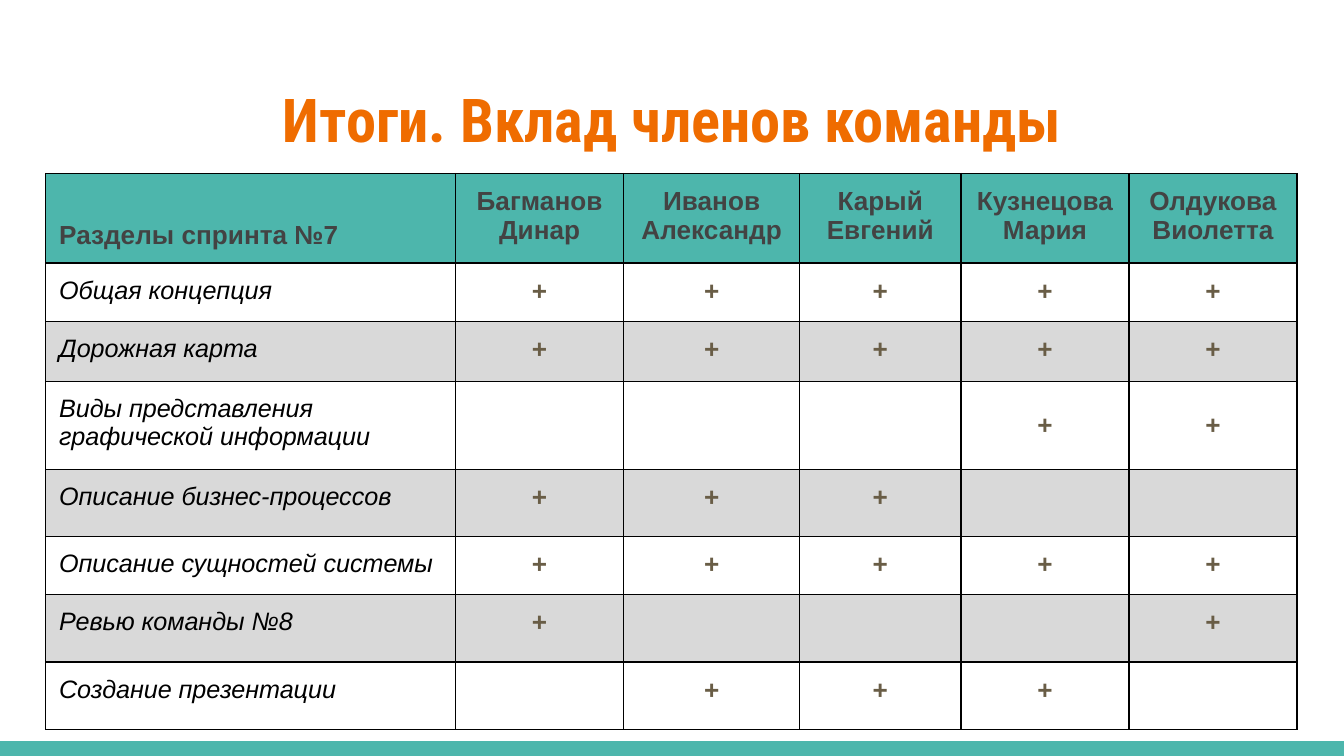
import pptx
import pptx.util
import pptx.dml.color
import pptx.enum.shapes
import pptx.enum.text
import pptx.oxml
import pptx.oxml.ns

Inches, Pt = pptx.util.Inches, pptx.util.Pt
ALIGN, ANCHOR = pptx.enum.text.PP_ALIGN, pptx.enum.text.MSO_ANCHOR

TEAL, GREY, WHITE, BLACK = "4DB6AC", "D9D9D9", "FFFFFF", "000000"
ORANGE, HEADER_TEXT, MARK_TEXT = "EF6C00", "434343", "695D46"

SLIDE_WIDTH = 10
SLIDE_HEIGHT = SLIDE_WIDTH * 9 / 16
FOOTER_HEIGHT = 0.11

TITLE = "Итоги. Вклад членов команды"
HEADERS = ["Разделы спринта №7", "Багманов Динар", "Иванов Александр",
           "Карый Евгений", "Кузнецова Мария", "Олдукова Виолетта"]
COLUMN_WIDTHS = [3.05, 1.25, 1.31, 1.2, 1.25, 1.25]
TABLE_SIZE = 3.28
HEADER_HEIGHT = 0.42
# section, least row height (rows grow with their text),
# members who took part (column numbers), anchor of the marks
SECTIONS = [
    ("Общая концепция", 0.42, (1, 2, 3, 4, 5), ANCHOR.TOP),
    ("Дорожная карта", 0.45, (1, 2, 3, 4, 5), ANCHOR.TOP),
    ("Виды представления графической информации", 0.42, (4, 5), ANCHOR.MIDDLE),
    ("Описание бизнес-процессов", 0.42, (1, 2, 3), ANCHOR.TOP),
    ("Описание сущностей системы", 0.42, (1, 2, 3, 4, 5), ANCHOR.TOP),
    ("Ревью команды №8", 0.11, (1, 5), ANCHOR.TOP),
    ("Создание презентации", 0.42, (2, 3, 4), ANCHOR.TOP),
]


def color(value):
    return pptx.dml.color.RGBColor.from_string(value)


def paint(target, value):
    target.fill.solid()
    target.fill.fore_color.rgb = color(value)


def write(frame, text, size, ink, align, name="Arial", bold=False, italic=False):
    para = frame.paragraphs[0]
    para.text = text
    para.alignment = align
    font = para.font
    font.name, font.size, font.bold, font.italic = name, Pt(size), bold, italic
    font.color.rgb = color(ink)


def set_margins(target):
    for side in ("left", "top", "right", "bottom"):
        setattr(target, f"margin_{side}", Inches(0.1))


def add_borders(cell):
    properties = cell._tc.get_or_add_tcPr()
    for position, side in enumerate("LRTB"):
        properties.insert(position, pptx.oxml.parse_xml(
            f'<a:ln{side} {pptx.oxml.ns.nsdecls("a")} w="{Pt(0.75)}">'
            f'<a:solidFill><a:srgbClr val="{BLACK}"/></a:solidFill></a:ln{side}>'))


deck = pptx.Presentation()
deck.slide_width, deck.slide_height = Inches(SLIDE_WIDTH), Inches(SLIDE_HEIGHT)
page = deck.slides.add_slide(deck.slide_layouts[6])

footer = page.shapes.add_shape(
    pptx.enum.shapes.MSO_SHAPE.RECTANGLE, 0, Inches(SLIDE_HEIGHT - FOOTER_HEIGHT),
    Inches(SLIDE_WIDTH), Inches(FOOTER_HEIGHT))
footer.shadow.inherit = False
paint(footer, TEAL)
footer.line.fill.background()

title = page.shapes.add_textbox(Inches(0.34), Inches(0.51), Inches(9.32), Inches(0.77))
title.text_frame.word_wrap = True
set_margins(title.text_frame)
write(title.text_frame, TITLE, 32.4, ORANGE, ALIGN.CENTER, "Roboto Condensed", bold=True)

row_heights = [HEADER_HEIGHT] + [height for _, height, _, _ in SECTIONS]
table_frame = page.shapes.add_table(
    len(row_heights), len(HEADERS), Inches(0.34), Inches(1.29),
    Inches(TABLE_SIZE), Inches(TABLE_SIZE))
table = table_frame.table
for column, width in zip(table.columns, COLUMN_WIDTHS):
    column.width = Inches(width)
for row, height in zip(table.rows, row_heights):
    row.height = Inches(height)
# Column and row changes resize the frame, so its size is set last.
table_frame.width = table_frame.height = Inches(TABLE_SIZE)

for row_number, row in enumerate(table.rows):
    for cell in row.cells:
        set_margins(cell)
        paint(cell, TEAL if row_number == 0 else WHITE if row_number % 2 else GREY)
        add_borders(cell)

for column_number, header in enumerate(HEADERS):
    cell = table.cell(0, column_number)
    write(cell.text_frame, header, 14, HEADER_TEXT,
          ALIGN.CENTER if column_number else ALIGN.LEFT, bold=True)
table.cell(0, 0).vertical_anchor = ANCHOR.BOTTOM

for row_number, (section, _, members, anchor) in enumerate(SECTIONS, start=1):
    write(table.cell(row_number, 0).text_frame, section, 13.5, BLACK, ALIGN.LEFT, italic=True)
    for member in members:
        cell = table.cell(row_number, member)
        cell.vertical_anchor = anchor
        write(cell.text_frame, "+", 14, MARK_TEXT, ALIGN.CENTER, bold=True)

deck.save("out.pptx")
